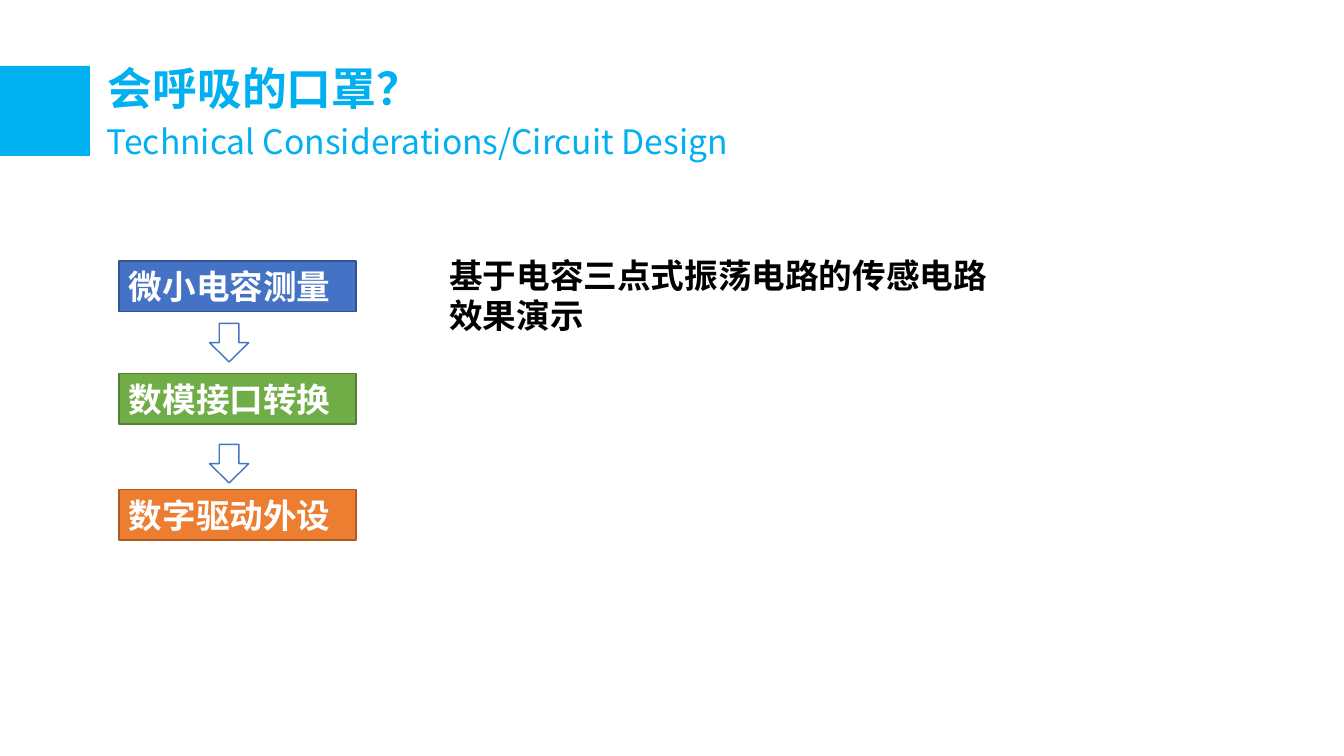
from dataclasses import dataclass

from lxml.etree import SubElement as Sub
from pptx import Presentation
from pptx.dml.color import RGBColor as Rgb
from pptx.enum.shapes import MSO_SHAPE as Form
from pptx.enum.text import MSO_ANCHOR as Anchor, MSO_AUTO_SIZE as Fit, PP_ALIGN as Align
from pptx.oxml.ns import qn
from pptx.util import Cm, Pt


@dataclass(frozen=True)
class Theme:
    font: str = "Noto Sans CJK SC"
    head: int = 32
    text: int = 24
    sky: str = "00B0F0"
    white: str = "FFFFFF"
    black: str = "000000"
    blue: str = "4472C4"
    navy: str = "325491"
    green: str = "70AD47"
    moss: str = "538035"
    orange: str = "ED7D31"
    rust: str = "AF5C24"


class Page:
    def __init__(self, deck, theme):
        self.theme = theme
        self.slide = deck.slides.add_slide(deck.slide_layouts[1])

    def fill_text(self, frame, lines, color, size, bold=True, anchor=Anchor.TOP):
        frame.word_wrap = True
        frame.auto_size = Fit.NONE
        frame.vertical_anchor = anchor
        for i, line in enumerate(lines):
            para = frame.add_paragraph() if i else frame.paragraphs[0]
            para.alignment = Align.LEFT
            para.space_before = Pt(0)
            run = para.add_run()
            run.text = line
            font = run.font
            font.name, font.size, font.bold = self.theme.font, Pt(size), bold
            font.color.rgb = Rgb.from_string(color)
            Sub(font._element, qn("a:ea"), typeface=self.theme.font)

    def place(self, shape, left, top, width, height):
        shape.left, shape.top = Cm(left), Cm(top)
        shape.width, shape.height = Cm(width), Cm(height)

    def title(self, text, *box):
        shape = self.slide.shapes.title
        self.place(shape, *box)
        self.fill_text(shape.text_frame, [text], self.theme.sky, self.theme.head)

    def body(self, lines, *box):
        shape = self.slide.placeholders[1]
        self.place(shape, *box)
        self.fill_text(shape.text_frame, lines, self.theme.black, self.theme.text)
        # Plain lines without bullets or hanging indent
        for para in shape.text_frame.paragraphs:
            props = para._p.get_or_add_pPr()
            props.set("marL", "0")
            props.set("indent", "0")
            Sub(props, qn("a:buNone"))

    def label(self, text, *box):
        shape = self.slide.shapes.add_textbox(*map(Cm, box))
        self.fill_text(shape.text_frame, [text], self.theme.sky, self.theme.text, bold=False)

    def block(self, form, fill, line, *box):
        shape = self.slide.shapes.add_shape(form, *map(Cm, box))
        shape.shadow.inherit = False
        shape.fill.solid()
        shape.fill.fore_color.rgb = Rgb.from_string(fill)
        if line:
            shape.line.color.rgb = Rgb.from_string(line)
            shape.line.width = Pt(1)
        else:
            shape.line.fill.background()
        return shape

    def step(self, text, fill, line, top):
        shape = self.block(Form.RECTANGLE, fill, line, 3, top, 5.97, 1.27)
        self.fill_text(shape.text_frame, [text], self.theme.white, self.theme.text,
                       anchor=Anchor.MIDDLE)

    def arrow(self, top):
        self.block(Form.DOWN_ARROW, self.theme.white, self.theme.blue, 5.28, top, 0.99, 0.97)


def main():
    deck = Presentation()
    deck.slide_width, deck.slide_height = Cm(33.87), Cm(19.05)
    theme = Theme()
    page = Page(deck, theme)

    # Heading with its marker
    page.block(Form.RECTANGLE, theme.sky, None, 0, 1.66, 2.27, 2.27)
    page.title("会呼吸的口罩？", 2.46, 1.4, 37.87, 1.62)
    page.label("Technical Considerations/Circuit Design", 2.44, 2.92, 19.28, 1.28)

    # Flow of three steps
    steps = [
        ("微小电容测量", theme.blue, theme.navy, 6.58),
        ("数模接口转换", theme.green, theme.moss, 9.42),
        ("数字驱动外设", theme.orange, theme.rust, 12.34),
    ]
    for step in steps:
        page.step(*step)
    for top in (8.15, 11.2):
        page.arrow(top)

    # Description
    page.body(["基于电容三点式振荡电路的传感电路", "效果演示"], 11.07, 6.3, 20.73, 2.31)

    deck.save("out.pptx")


if __name__ == "__main__":
    main()
